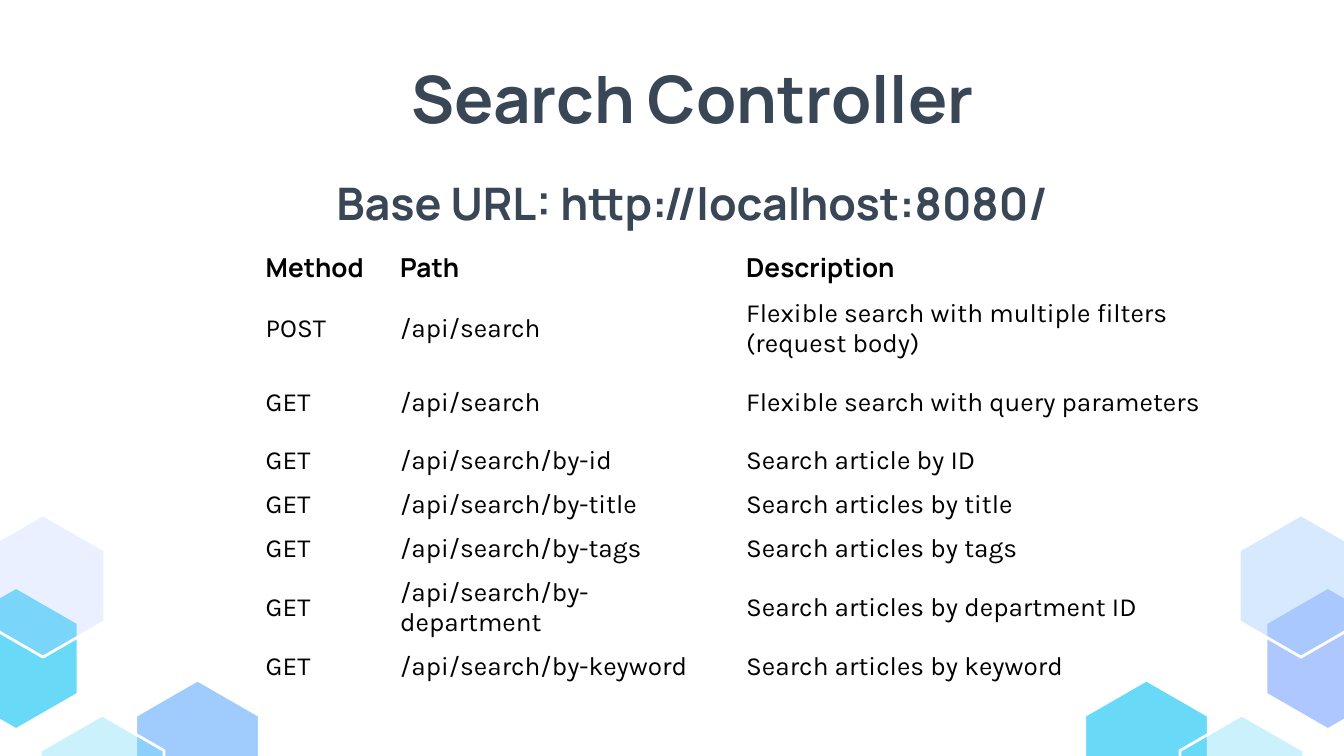
from lxml.etree import SubElement
from pptx import Presentation
from pptx.dml.color import RGBColor
from pptx.enum.text import MSO_ANCHOR, MSO_AUTO_SIZE, PP_ALIGN
from pptx.oxml.ns import qn
from pptx.util import Inches, Pt

WHITE = RGBColor(0xFF, 0xFF, 0xFF)
BLACK = RGBColor(0x00, 0x00, 0x00)
SLATE = RGBColor(0x38, 0x46, 0x55)
SKY = RGBColor(0x9F, 0xCB, 0xFD)
CYAN = RGBColor(0x68, 0xDA, 0xF8)
PERIWINKLE = RGBColor(0xAF, 0xC7, 0xFF)

HEADING_FONT, BODY_FONT = "Manrope", "Karla"
PLAIN_TABLE_STYLE = "{2D5ABB26-0587-4C30-8999-92F81FD0307C}"
COLUMNS = 100
HEX_WIDTH, HEX_HEIGHT = 9.2, 10.6

HEXAGONS = [
    (10.1, 50.6, (SKY, 100), (CYAN, 100)),
    (3, 53.2, (CYAN, 34), (CYAN, 34)),
    (-3.4, 43.7, (CYAN, 100), (PERIWINKLE, 100)),
    (-1.4, 38.3, (PERIWINKLE, 25), (SKY, 41)),
]

ENDPOINTS = [
    ("Method", "Path", "Description"),
    ("POST", "/api/search", "Flexible search with multiple filters (request body)"),
    ("GET", "/api/search", "Flexible search with query parameters"),
    ("GET", "/api/search/by-id", "Search article by ID"),
    ("GET", "/api/search/by-title", "Search articles by title"),
    ("GET", "/api/search/by-tags", "Search articles by tags"),
    ("GET", "/api/search/by-department", "Search articles by department ID"),
    ("GET", "/api/search/by-keyword", "Search articles by keyword"),
]
SINGLE, DOUBLE = 3.2, 5.4
ROW_HEIGHTS = [SINGLE, DOUBLE, DOUBLE, SINGLE, SINGLE, SINGLE, DOUBLE, SINGLE]
COLUMN_WIDTHS = [10, 25.75, 38.5]


class SlideBuilder:
    """Draws styled elements on one slide, measured in square grid units."""

    def __init__(self, deck):
        self.unit = deck.slide_width / COLUMNS
        self.slide = deck.slides.add_slide(deck.slide_layouts[5])
        self.slide.background.fill.solid()
        self.slide.background.fill.fore_color.rgb = WHITE

    def grid(self, *lengths):
        return [round(length * self.unit) for length in lengths]

    def style(self, paragraph, font_name, size, color, bold):
        font = paragraph.font
        font.name, font.size, font.bold = font_name, Pt(size), bold
        font.color.rgb = color

    def heading(self, box, text, place, size, anchor, spacing=1.0):
        box.left, box.top, box.width, box.height = self.grid(*place)
        frame = box.text_frame
        frame.text = text
        frame.word_wrap = True
        frame.auto_size = MSO_AUTO_SIZE.NONE
        frame.vertical_anchor = anchor
        frame.margin_left = frame.margin_right = Inches(0.1)
        frame.margin_top = frame.margin_bottom = Inches(0.1)
        line = frame.paragraphs[0]
        line.alignment, line.line_spacing = PP_ALIGN.CENTER, spacing
        self.style(line, HEADING_FONT, size, SLATE, True)

    def title(self, text, place):
        self.heading(self.slide.shapes.title, text, place, 35, MSO_ANCHOR.TOP)

    def subtitle(self, text, place):
        box = self.slide.shapes.add_textbox(*self.grid(*place))
        self.heading(box, text, place, 24, MSO_ANCHOR.BOTTOM, 1.15)

    def hexagon(self, left, top, color, opacity):
        middle, right = left + HEX_WIDTH / 2, left + HEX_WIDTH
        upper, lower = top + HEX_HEIGHT / 4, top + HEX_HEIGHT * 3 / 4
        corners = [(right, upper), (right, lower), (middle, top + HEX_HEIGHT),
                   (left, lower), (left, upper)]
        outline = self.slide.shapes.build_freeform(*self.grid(middle, top))
        outline.add_line_segments([self.grid(*corner) for corner in corners])
        tile = outline.convert_to_shape()
        tile.shadow.inherit = False
        tile.fill.solid()
        tile.fill.fore_color.rgb = color
        tile.line.color.rgb = WHITE
        tile.line.width = Pt(1.5)
        if opacity < 100:
            tint = tile.fill._xPr.find(qn("a:solidFill"))[0]
            SubElement(tint, qn("a:alpha"), val=str(opacity * 1000))

    def table(self, rows, left, top, widths, heights):
        place = self.grid(left, top, sum(widths), sum(heights))
        table = self.slide.shapes.add_table(len(rows), len(widths), *place).table
        table.first_row = table.horz_banding = False
        table._tbl.tblPr.find(qn("a:tableStyleId")).text = PLAIN_TABLE_STYLE
        for column, width in zip(table.columns, self.grid(*widths)):
            column.width = width
        for row, height in zip(table.rows, self.grid(*heights)):
            row.height = height
        for index, row in enumerate(rows):
            for cell, text in zip(table.rows[index].cells, row):
                cell.text = text
                cell.fill.background()
                cell.vertical_anchor = MSO_ANCHOR.MIDDLE
                font_name = BODY_FONT if index else HEADING_FONT
                self.style(cell.text_frame.paragraphs[0], font_name, 14, BLACK, index == 0)


def main():
    deck = Presentation()
    deck.slide_width = Inches(10)
    deck.slide_height = deck.slide_width * 9 // 16
    builder = SlideBuilder(deck)
    for left, top, left_tint, right_tint in HEXAGONS:
        builder.hexagon(left, top, *left_tint)
        builder.hexagon(COLUMNS - left - HEX_WIDTH, top, *right_tint)
    builder.title("Search Controller", (9.4, 3.3, 84.3, 6.3))
    builder.subtitle("Base URL: http://localhost:8080/", (7, 11.75, 89, 6.3))
    builder.table(ENDPOINTS, 18.77, 18.03, COLUMN_WIDTHS, ROW_HEIGHTS)
    deck.save("out.pptx")


if __name__ == "__main__":
    main()
